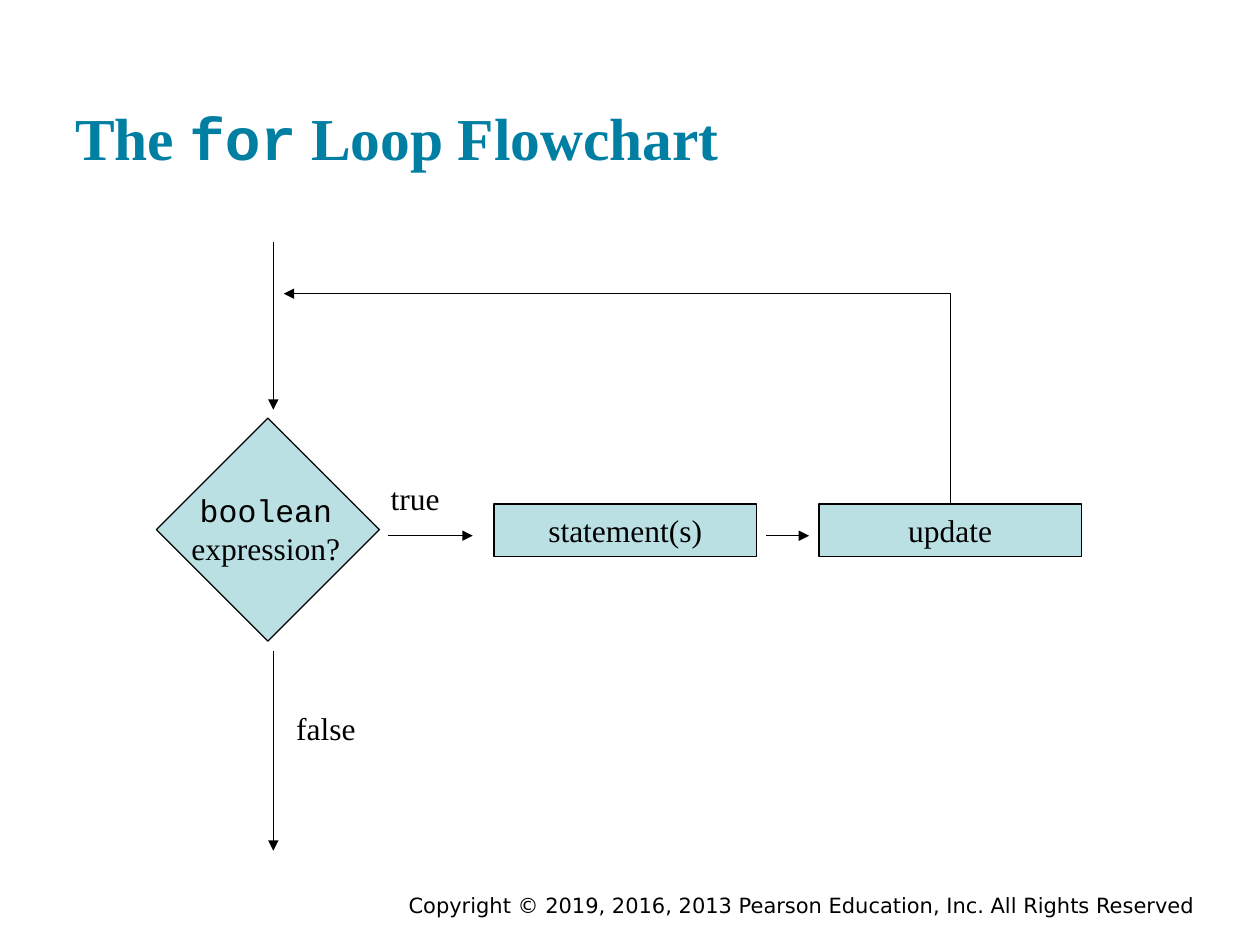
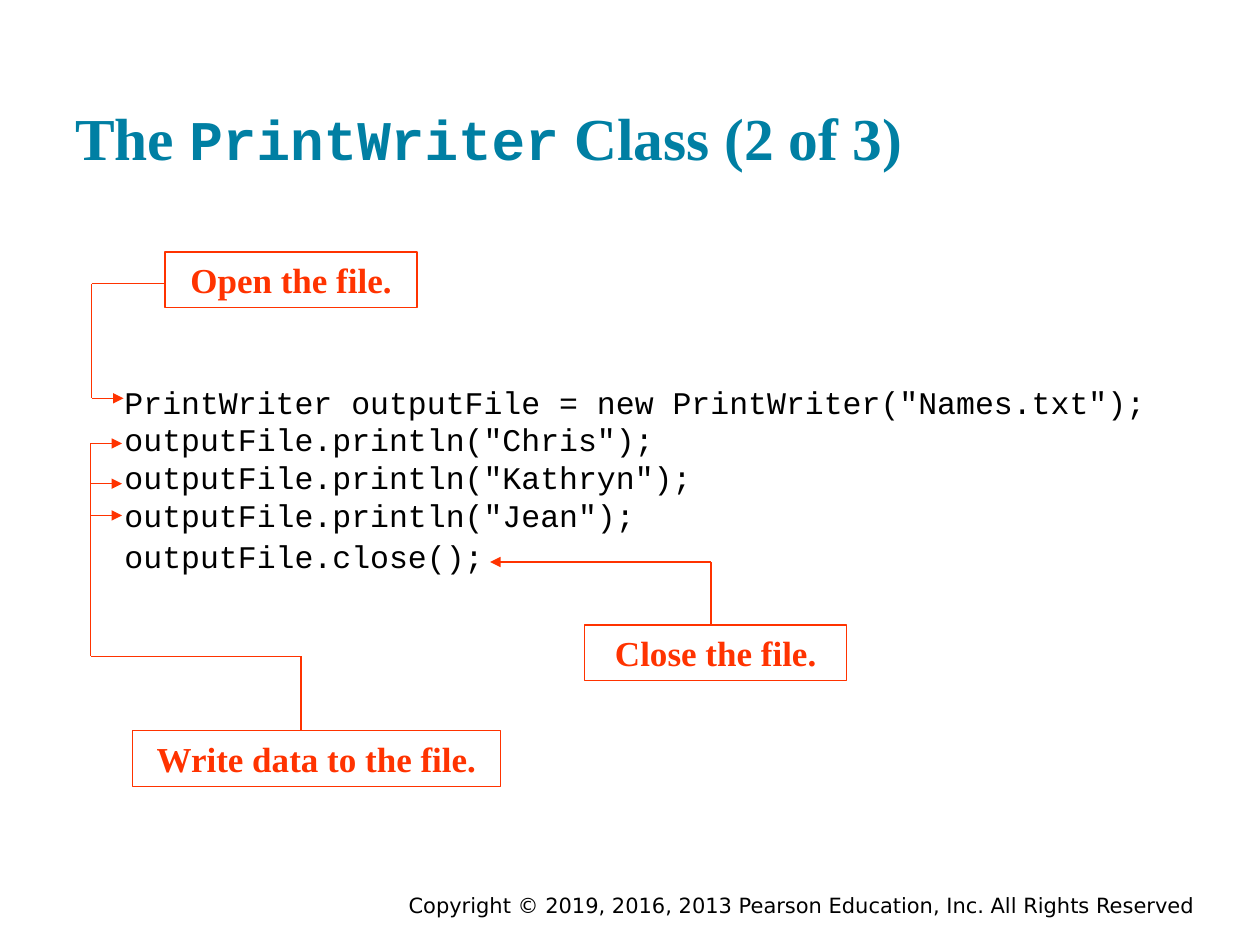
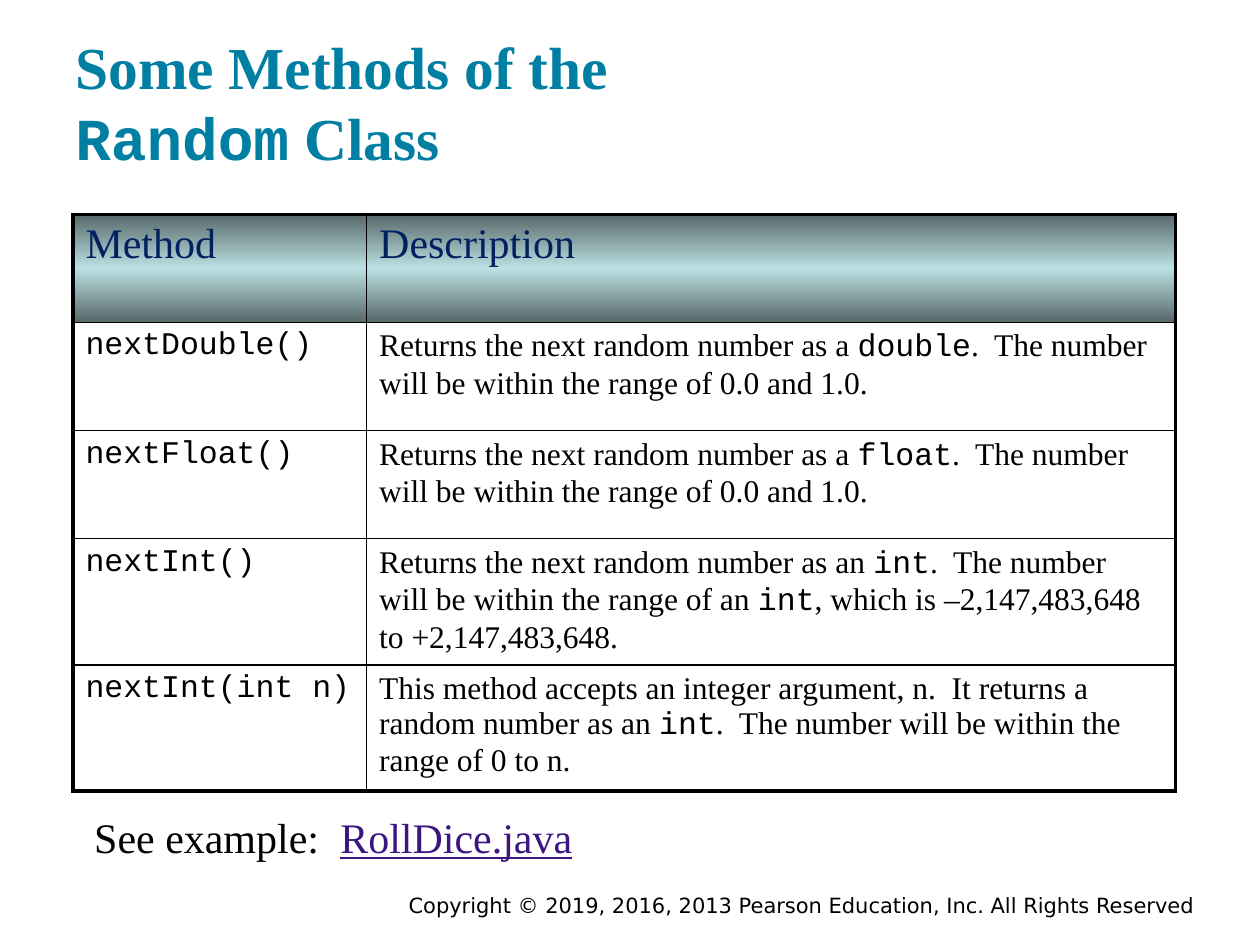
"""Build three slides on loops, file output and random numbers."""
from dataclasses import dataclass

from lxml import etree
from pptx import Presentation
from pptx import util as u
from pptx.dml.color import RGBColor
from pptx.enum import shapes, text
from pptx.oxml.ns import qn


@dataclass(frozen=True)
class Theme:
    """Hold the colours, fonts and type sizes that the slides share."""
    ink: str = "000000"
    teal: str = "007FA3"
    pale: str = "BBE0E3"
    slate: str = "576869"
    navy: str = "002060"
    red: str = "FF3300"
    plum: str = "3C1581"
    serif: str = "Times New Roman"
    mono: str = "Courier New"
    sans: str = "DejaVu Sans"
    title: int = 34
    head: int = 24
    note: int = 20
    body: int = 18
    foot: int = 12
    thin: float = 0.75
    rule: float = 1
    edge: float = 2.25


T = Theme()
MID = text.PP_ALIGN.CENTER
COPY = "Copyright © 2019, 2016, 2013 Pearson Education, Inc. All Rights Reserved"


def rgb(code):
    """Turn a hex code into a colour."""
    return RGBColor.from_string(code)


def say(frame, *lines, size=T.body, color=T.ink, font=T.serif, bold=False,
        align=None, alt=None):
    """Write one paragraph a line; parts between backticks take the alt format."""
    alt = {"font": T.mono, **(alt or {})}
    for num, line in enumerate(lines):
        par = frame.paragraphs[0] if num == 0 else frame.add_paragraph()
        par.alignment = align
        for spot, part in enumerate(line.split("`")):
            look = alt if spot % 2 else {}
            for row, words in enumerate(part.split("\n")):
                if row:
                    par.add_line_break()
                if words:
                    run = par.add_run()
                    run.text = words
                    run.font.name = look.get("font", font)
                    run.font.size = u.Pt(look.get("size", size))
                    run.font.color.rgb = rgb(look.get("color", color))
                    run.font.underline = look.get("line")
                    run.font.bold = bold
    return frame


class Pane:
    """Place parts on a slide, in centimetres from a corner."""

    def __init__(self, slide, left, top):
        self.kit, self.left, self.top = slide.shapes, left, top

    def at(self, x, y):
        """Return the slide position of a point in the pane."""
        return u.Cm(self.left + x), u.Cm(self.top + y)

    def label(self, x, y, w, h, *lines, wrap=True, anchor=None, inset=None, **look):
        """Add a text box."""
        frame = self.kit.add_textbox(*self.at(x, y), u.Cm(w), u.Cm(h)).text_frame
        frame.word_wrap = wrap
        frame.vertical_anchor = anchor
        if inset:
            frame.margin_top = frame.margin_bottom = u.Cm(inset)
        return say(frame, *lines, **look)

    def block(self, x, y, w, h, *lines, fill=None, line=T.ink, turn=0,
              anchor=text.MSO_ANCHOR.MIDDLE, **look):
        """Add an outlined rectangle with centred text."""
        shape = self.kit.add_shape(shapes.MSO_SHAPE.RECTANGLE, *self.at(x, y),
                                   u.Cm(w), u.Cm(h))
        shape.shadow.inherit = False
        shape.rotation = turn
        shape.line.color.rgb = rgb(line)
        shape.line.width = u.Pt(T.thin)
        if fill:
            shape.fill.solid()
            shape.fill.fore_color.rgb = rgb(fill)
        else:
            shape.fill.background()
        shape.text_frame.vertical_anchor = anchor
        say(shape.text_frame, *lines, align=MID, **look)

    def link(self, start, end, color=T.ink, arrow=True,
             kind=shapes.MSO_CONNECTOR.STRAIGHT):
        """Join two points, with an arrowhead at the end if asked."""
        wire = self.kit.add_connector(kind, *self.at(*start), *self.at(*end))
        wire.line.color.rgb = rgb(color)
        wire.line.width = u.Pt(T.thin)
        props = wire._element.spPr
        if arrow:
            etree.SubElement(props.find(qn("a:ln")), qn("a:tailEnd"), type="triangle")
        etree.SubElement(props, qn("a:effectLst"))
        return props

    def trail(self, *spots, color=T.ink, arrow=True):
        """Join points in turn, with an arrowhead at the last if asked."""
        for num, pair in enumerate(zip(spots, spots[1:]), 2):
            self.link(*pair, color=color, arrow=arrow and num == len(spots))

    def bend(self, start, end):
        """Go up from the start, then left to the end, as one connector."""
        (x, y), (ex, ey) = start, end
        mx, my, w, h = (x + ex) / 2, (y + ey) / 2, y - ey, x - ex
        props = self.link((mx - w / 2, my - h / 2), (mx + w / 2, my + h / 2),
                          kind=shapes.MSO_CONNECTOR.ELBOW)
        frame = props.find(qn("a:xfrm"))
        frame.set("rot", str(90 * 60000))
        frame.set("flipH", "1")
        props.find(qn("a:prstGeom")).set("prst", "bentConnector2")


def base(deck, title, **look):
    """Add a blank slide with its title and footer."""
    slide = deck.slides.add_slide(deck.slide_layouts[6])
    pane = Pane(slide, 0, 0)
    pane.label(4.45, 17.86, 19.89, 0.56, COPY, size=T.foot, font=T.sans,
               align=text.PP_ALIGN.RIGHT)
    pane.label(1.27, 0.68, 22.86, 3.05, title, size=T.title, color=T.teal, bold=True,
               anchor=text.MSO_ANCHOR.BOTTOM, inset=0.25, **look)
    return slide


def flow(slide, left, top):
    """Draw the loop flowchart."""
    pane = Pane(slide, left, top)
    stem, rail, step, wide = 2.33, 5.92, 5.28, 5.29
    pane.block(0.63, 4.21, 3.18, 3.18, fill=T.pale, turn=45)
    pane.label(0.43, 4.9, 3.5, 1.78, "`boolean`", "expression?", wrap=False, align=MID)
    for x, name in ((6.78, "statement(s)"), (13.33, "update")):
        pane.block(x, step, wide, 1.06, name, fill=T.pale)
    pane.label(4.44, 4.65, 1.5, 1.02, "true", wrap=False, align=MID)
    pane.label(2.54, 9.29, 1.7, 1.02, "false", wrap=False, align=MID)
    for y, end in ((0, 3.38), (8.25, 12.27)):
        pane.link((stem, y), (stem, end))
    for x, end in ((4.64, 6.35), (12.26, 13.13)):
        pane.link((x, rail), (end, rail))
    pane.bend((13.33 + wide / 2, step), (2.54, 1.04))


def calls(slide, left, top):
    """Show the code with a callout for each stage."""
    pane = Pane(slide, left, top)
    code = pane.label(0.46, 2.51, 21.59, 4.06,
                      'PrintWriter outputFile = new PrintWriter("Names.txt");',
                      'outputFile.println("Chris");',
                      'outputFile.println("Kathryn");',
                      'outputFile.println("Jean");',
                      'outputFile.close();', font=T.mono)
    code.paragraphs[-1].space_before = u.Pt(2)
    for x, y, w, note in ((1.53, 0, 5.08, "Open the file."),
                          (0.87, 9.65, 7.42, "Write data to the file."),
                          (9.99, 7.52, 5.28, "Close the file.")):
        pane.block(x, y, w, 1.12, note, line=T.red, size=T.note, color=T.red, bold=True)
    pane.trail((1.53, 0.64), (0.05, 0.64), (0.05, 2.95), (0.69, 2.95), color=T.red)
    pane.trail((12.53, 7.52), (12.53, 6.25), (8.08, 6.25), color=T.red)
    pane.trail((0.03, 3.86), (0.03, 8.15), (4.27, 8.15), (4.27, 9.65),
               color=T.red, arrow=False)
    for y in (3.86, 4.67, 5.31):
        pane.link((0.03, y), (0.66, y), color=T.red)


def edge(cell, side, width):
    """Draw one border of a cell."""
    line = etree.SubElement(cell._tc.get_or_add_tcPr(), qn("a:ln" + side),
                            w=str(u.Pt(width)))
    fill = etree.SubElement(line, qn("a:solidFill"))
    etree.SubElement(fill, qn("a:srgbClr"), val=T.ink)


def sheen(cell):
    """Fill a cell with a dark, pale, dark gradient from top to bottom."""
    grad = etree.SubElement(cell._tc.get_or_add_tcPr(), qn("a:gradFill"))
    stops = etree.SubElement(grad, qn("a:gsLst"))
    for part, color in ((0, T.slate), (50, T.pale), (100, T.slate)):
        stop = etree.SubElement(stops, qn("a:gs"), pos=str(part * 1000))
        etree.SubElement(stop, qn("a:srgbClr"), val=color)
    etree.SubElement(grad, qn("a:lin"), ang=str(90 * 60000), scaled="1")


def grid(slide, left, top, rows, wide, high):
    """Draw a framed table with a shaded head row."""
    frame = slide.shapes.add_table(len(rows), len(wide), u.Cm(left), u.Cm(top),
                                   u.Cm(sum(wide)), u.Cm(sum(high)))
    table = frame.table
    table.first_row = table.horz_banding = False
    for col, w in zip(table.columns, wide):
        col.width = u.Cm(w)
    for row, h in zip(table.rows, high):
        row.height = u.Cm(h)
    for r, row in enumerate(rows):
        for c, words in enumerate(row):
            cell = table.cell(r, c)
            outer = {"L": c == 0, "R": c == len(wide) - 1,
                     "T": r == 0, "B": r == len(rows) - 1}
            for side, out in outer.items():
                edge(cell, side, T.edge if out else T.rule)
            if r == 0:
                sheen(cell)
                say(cell.text_frame, words, size=T.head, color=T.navy)
            else:
                cell.fill.background()
                say(cell.text_frame, words)


def main():
    """Build the deck and save it."""
    deck = Presentation()
    deck.slide_width, deck.slide_height = u.Cm(25.4), u.Cm(19.05)
    flow(base(deck, "The `for` Loop Flowchart"), 3.18, 4.88)
    calls(base(deck, "The `PrintWriter` Class (2 of 3)", alt={"size": 32}), 1.8, 5.08)
    slide = base(deck, "Some Methods of the\n`Random` Class")
    span = ".  The number will be within the range of "
    rows = [("Method", "Description")]
    rows += [(f"`next{kind.title()}()`",
              f"Returns the next random number as a `{kind}`{span}0.0 and 1.0.")
             for kind in ("double", "float")]
    rows += [("`nextInt()`", f"Returns the next random number as an `int`{span}an `int`, "
              "which is –2,147,483,648 to +2,147,483,648."),
             ("`nextInt(int n)`", "This method accepts an integer argument, n.  "
              f"It returns a random number as an `int`{span}0 to n.")]
    grid(slide, 1.47, 4.32, rows, (5.92, 16.31), (2.18, 2.18, 2.18, 2.54, 2.54))
    Pane(slide, 1.65, 16.23).label(
        0, 0, 12.7, 1.27, "See example:  `RollDice.java`", size=T.head,
        alt={"font": T.serif, "size": T.head, "color": T.plum, "line": True})
    deck.save("out.pptx")


if __name__ == "__main__":
    main()
